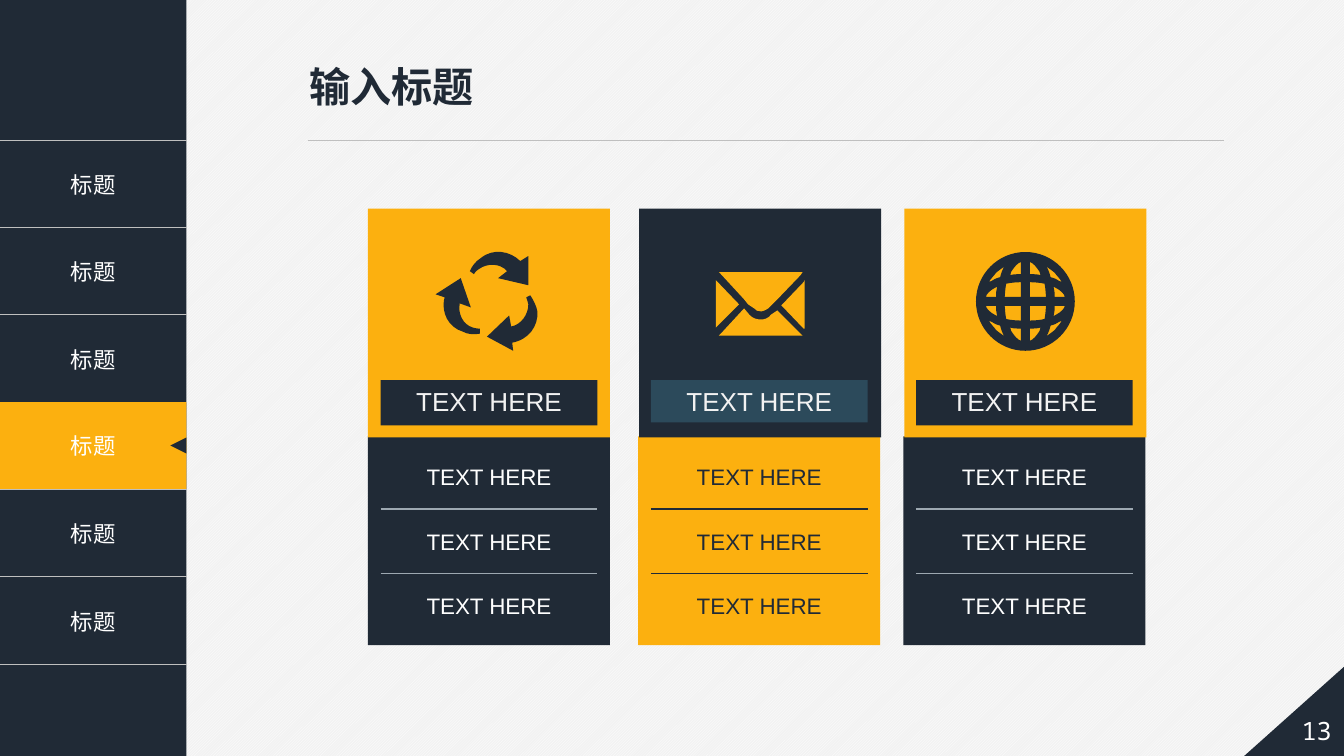
import pptx
import pptx.util
import pptx.dml.color
import pptx.enum.dml
import pptx.enum.shapes
import pptx.enum.text
import pptx.oxml
import pptx.oxml.ns

Inches = pptx.util.Inches
SHAPE = pptx.enum.shapes.MSO_SHAPE
ALIGN = pptx.enum.text.PP_ALIGN
ANCHOR = pptx.enum.text.MSO_ANCHOR
NS = pptx.oxml.ns.nsdecls("a")

THEME = {
    "dark": "202A36", "amber": "FCB00F", "white": "FFFFFF", "paper": "F2F2F2",
    "rule": "BFBFBF", "divider": "9DA8B1", "sky": "5ECCF3",
    "sans": "Arial", "cjk": "Noto Sans CJK SC", "mono": "Noto Sans Mono",
    "title": 29.4, "heading": 18.6, "body": 16, "page": 18,
}
TITLE = "输入标题"
PAGE = "13"
NAV = ["标题"] * 6
ACTIVE = 3
CARDS = [
    {"x": 3.65, "head_x": 3.65, "head": "amber", "body": "dark", "label": "dark",
     "label_h": 0.45, "text": "white", "line": "divider"},
    {"x": 6.33, "head_x": 6.34, "head": "dark", "body": "amber", "label": "sky",
     "label_h": 0.42, "text": "dark", "line": "dark"},
    {"x": 8.96, "head_x": 8.97, "head": "amber", "body": "dark", "label": "dark",
     "label_h": 0.45, "text": "white", "line": "divider"},
]
HEADING = "TEXT HERE"
ITEMS = ["TEXT HERE"] * 3
CARD_W, HEAD_Y, HEAD_H, BODY_Y, BODY_H = 2.4, 2.07, 2.27, 4.33, 2.07
LABEL_W, LABEL_Y = 2.15, 3.77
ITEM_Y, ITEM_H, DIVIDER_Y, ITEM_STEP = 4.55, 0.37, 5.05, 0.64

RECYCLE = [
    [(5.09, 3.48), (4.83, 3.34), (5.05, 3.13), (5.07, 3.24),
     (5.17, 3.22, 5.24, 3.12, 5.24, 3.02), (5.23, 2.99, 5.23, 2.97, 5.22, 2.95),
     (5.26, 2.93), (5.29, 2.98, 5.32, 3.03, 5.33, 3.09),
     (5.34, 3.24, 5.24, 3.37, 5.08, 3.4)],
    [(4.32, 2.92), (4.57, 2.76), (4.67, 3.05), (4.56, 3.01),
     (4.54, 3.11, 4.59, 3.22, 4.69, 3.25), (4.72, 3.26, 4.74, 3.26, 4.76, 3.26),
     (4.76, 3.31), (4.71, 3.32, 4.64, 3.32, 4.59, 3.29),
     (4.45, 3.25, 4.37, 3.1, 4.41, 2.95)],
    [(5.24, 2.54), (5.16, 2.59), (5.06, 2.49, 4.89, 2.46, 4.77, 2.56),
     (4.72, 2.59, 4.68, 2.64, 4.66, 2.69), (4.7, 2.72),
     (4.72, 2.69, 4.73, 2.68, 4.75, 2.67), (4.83, 2.61, 4.96, 2.61, 5.03, 2.69),
     (4.94, 2.76), (5.24, 2.83)],
]
ENVELOPE = [
    [(7.1, 2.78), (7.1, 3.25), (7.33, 3.02)],
    [(7.38, 2.97), (7.42, 3.02), (7.48, 3.06), (7.49, 3.08, 7.52, 3.09, 7.55, 3.09),
     (7.56, 3.09, 7.59, 3.08, 7.62, 3.06), (7.65, 3.03), (7.71, 2.97), (7.94, 2.73),
     (7.96, 2.7), (7.13, 2.7), (7.15, 2.72)],
    [(7.71, 3.08), (7.65, 3.12), (7.62, 3.16, 7.58, 3.17, 7.55, 3.17),
     (7.51, 3.17, 7.46, 3.16, 7.43, 3.12), (7.38, 3.06), (7.15, 3.31), (7.13, 3.33),
     (7.96, 3.33), (7.94, 3.31)],
    [(7.97, 2.8), (7.75, 3.03), (7.97, 3.26), (7.98, 3.26), (7.98, 2.78)],
]
GLOBE_X, GLOBE_Y = 10.17, 2.99
GLOBE_RIM = [(0, -49), (27, -49, 49, -27, 49, 0), (49, 27, 27, 49, 0, 49),
             (-27, 49, -49, 27, -49, 0), (-49, -27, -27, -49, 0, -49)]
GLOBE_PANES = [
    [(4.5, -39), (4.5, -27), (8, -27, 12, -27, 15, -26), (14, -29.5),
     (11, -34, 8, -38, 4.5, -39)],
    [(4.5, -19), (4.5, -4.5), (20.5, -4.5), (20, -9, 20, -13, 19, -17.5),
     (15, -18.5, 9, -19, 4.5, -19)],
    [(29, -4.5), (39, -4.5), (39, -7, 35, -11, 30, -13.5), (28, -14.5),
     (29, -11, 29, -8, 29, -4.5)],
    [(25, -24), (29, -23, 31, -22, 34, -20), (36, -19.5),
     (34, -23, 31, -25.5, 29, -28.5), (26, -31, 23, -33, 21, -34.5),
     (23, -31, 24, -28, 25, -24)],
]


def color(name):
    return pptx.dml.color.RGBColor.from_string(THEME[name])


def place(ring, sx, sy):
    return [tuple(GLOBE_Y + sy * v / 100 if i % 2 else GLOBE_X + sx * v / 100
                  for i, v in enumerate(step)) for step in ring]


def globe():
    return [place(GLOBE_RIM, 1, 1)] + [
        place(pane, sx, sy) for pane in GLOBE_PANES for sx in (1, -1) for sy in (1, -1)]


def paint(sp, fill):
    sp.shadow.inherit = False
    sp.line.fill.background()
    if fill:
        sp.fill.solid()
        sp.fill.fore_color.rgb = color(fill)
    else:
        sp.fill.background()
    return sp


def shape(s, kind, x, y, w, h, fill=None, flip=False):
    sp = s.shapes.add_shape(kind, Inches(x), Inches(y), Inches(w), Inches(h))
    if flip:
        sp._element.spPr.xfrm.set("flipH", "1")
    return paint(sp, fill)


def icon(s, rings, fill):
    rings = [[tuple(map(Inches, step)) for step in ring] for ring in rings]
    fb = s.shapes.build_freeform(*rings[0][0], scale=1.0)
    for i, ring in enumerate(rings):
        if i:
            fb.move_to(*ring[0])
        fb.add_line_segments([step[-2:] for step in ring[1:]], close=True)
    sp = paint(fb.convert_to_shape(), fill)
    lines = sp._element.findall(".//" + pptx.oxml.ns.qn("a:lnTo"))
    steps = [step for ring in rings for step in ring[1:]]
    for ln, step in zip(lines, steps):
        if len(step) == 6:
            pts = "".join('<a:pt x="%d" y="%d"/>' % (x - sp.left, y - sp.top)
                          for x, y in zip(step[::2], step[1::2]))
            ln.getparent().replace(ln, pptx.oxml.parse_xml(
                "<a:cubicBezTo %s>%s</a:cubicBezTo>" % (NS, pts)))


def line(s, x1, x2, y, name, width):
    c = s.shapes.add_connector(pptx.enum.shapes.MSO_CONNECTOR.STRAIGHT,
                               Inches(x1), Inches(y), Inches(x2), Inches(y))
    c.line.color.rgb = color(name)
    c.line.width = pptx.util.Pt(width)
    c._element.spPr.append(pptx.oxml.parse_xml("<a:effectLst %s/>" % NS))


def write(tf, text, size, fill, font="sans", align=ALIGN.CENTER, bold=False, **frame):
    for key, value in {"word_wrap": True, "vertical_anchor": ANCHOR.MIDDLE, **frame}.items():
        setattr(tf, key, value)
    p = tf.paragraphs[0]
    p.alignment = align
    r = p.add_run()
    r.text = text
    look = {"size": pptx.util.Pt(THEME[size]), "name": THEME[font], "bold": bold}
    for key, value in look.items():
        setattr(r.font, key, value)
    r.font.color.rgb = color(fill)
    r._r.get_or_add_rPr().append(pptx.oxml.parse_xml(
        '<a:ea %s typeface="%s"/>' % (NS, THEME["cjk"])))


def textbox(s, x, y, w, h, *args, **kw):
    write(s.shapes.add_textbox(Inches(x), Inches(y), Inches(w), Inches(h)).text_frame,
          *args, **kw)


def sidebar(s):
    top, height, width = 1.39, 5.2, 1.85
    shape(s, SHAPE.RECTANGLE, 0, 0, width, 7.5, "dark")
    tb = s.shapes.add_table(len(NAV), 1, 0, Inches(top), Inches(width), Inches(height)).table
    tb.first_row = tb.horz_banding = False
    solid = '<a:solidFill><a:srgbClr val="%s"/></a:solidFill>' % THEME["rule"]
    for i, name in enumerate(NAV):
        tb.rows[i].height = Inches(height / len(NAV))
        cell = tb.cell(i, 0)
        cell.vertical_anchor = ANCHOR.MIDDLE
        write(cell.text_frame, name, "body", "white", "cjk")
        pr = cell._tc.get_or_add_tcPr()
        for side in "LRTB":
            pr.append(pptx.oxml.parse_xml('<a:ln%s %s w="12700">%s</a:ln%s>' % (
                side, NS, solid if side in "TB" else "<a:noFill/>", side)))
        cell.fill.background()
    active = shape(s, SHAPE.RECTANGLE, 0, 3.99, width, 0.86, "amber")
    write(active.text_frame, NAV[ACTIVE], "body", "white", "cjk")
    shape(s, SHAPE.ISOSCELES_TRIANGLE, 1.69, 4.34, 0.16, 0.16, "dark").rotation = 270


def card(s, c):
    x = c["x"] + (CARD_W - LABEL_W) / 2
    shape(s, SHAPE.RECTANGLE, c["x"], BODY_Y, CARD_W, BODY_H, c["body"])
    for i, item in enumerate(ITEMS):
        textbox(s, x, ITEM_Y + i * ITEM_STEP, LABEL_W, ITEM_H, item, "body", c["text"],
                vertical_anchor=ANCHOR.TOP)
        if i < len(ITEMS) - 1:
            line(s, x, x + LABEL_W, DIVIDER_Y + i * ITEM_STEP, c["line"], 1)
    shape(s, SHAPE.RECTANGLE, c["head_x"], HEAD_Y, CARD_W, HEAD_H, c["head"])
    label = shape(s, SHAPE.RECTANGLE, x, LABEL_Y, LABEL_W, c["label_h"], c["label"])
    if c["label"] == "sky":
        clr = label._element.spPr.find(".//" + pptx.oxml.ns.qn("a:srgbClr"))
        clr.append(pptx.oxml.parse_xml('<a:alpha %s val="20000"/>' % NS))
    write(label.text_frame, HEADING, "heading", "paper",
          vertical_anchor=ANCHOR.TOP, margin_top=Inches(0.05))


def main():
    prs = pptx.Presentation()
    prs.slide_width, prs.slide_height = Inches(13.33), Inches(7.5)
    s = prs.slides.add_slide(prs.slide_layouts[6])
    bg = s.background.fill
    bg.patterned()
    bg.pattern = pptx.enum.dml.MSO_PATTERN.LIGHT_UPWARD_DIAGONAL
    bg.fore_color.rgb, bg.back_color.rgb = color("white"), color("paper")
    sidebar(s)
    line(s, 3.05, 12.14, 1.39, "rule", 0.5)
    shape(s, SHAPE.RIGHT_TRIANGLE, 12.33, 6.58, 1.04, 0.93, "dark", flip=True)
    page = shape(s, SHAPE.PENTAGON, 12.45, 6.97, 1.08, 0.55, flip=True)
    write(page.text_frame, PAGE, "page", "white", "mono")
    for c in CARDS:
        card(s, c)
    icon(s, RECYCLE, "dark")
    icon(s, globe(), "dark")
    icon(s, ENVELOPE, "amber")
    textbox(s, 2.97, 0.56, 1.83, 0.59, TITLE, "title", "dark",
            align=ALIGN.LEFT, bold=True, word_wrap=False)
    prs.save("out.pptx")


if __name__ == "__main__":
    main()
